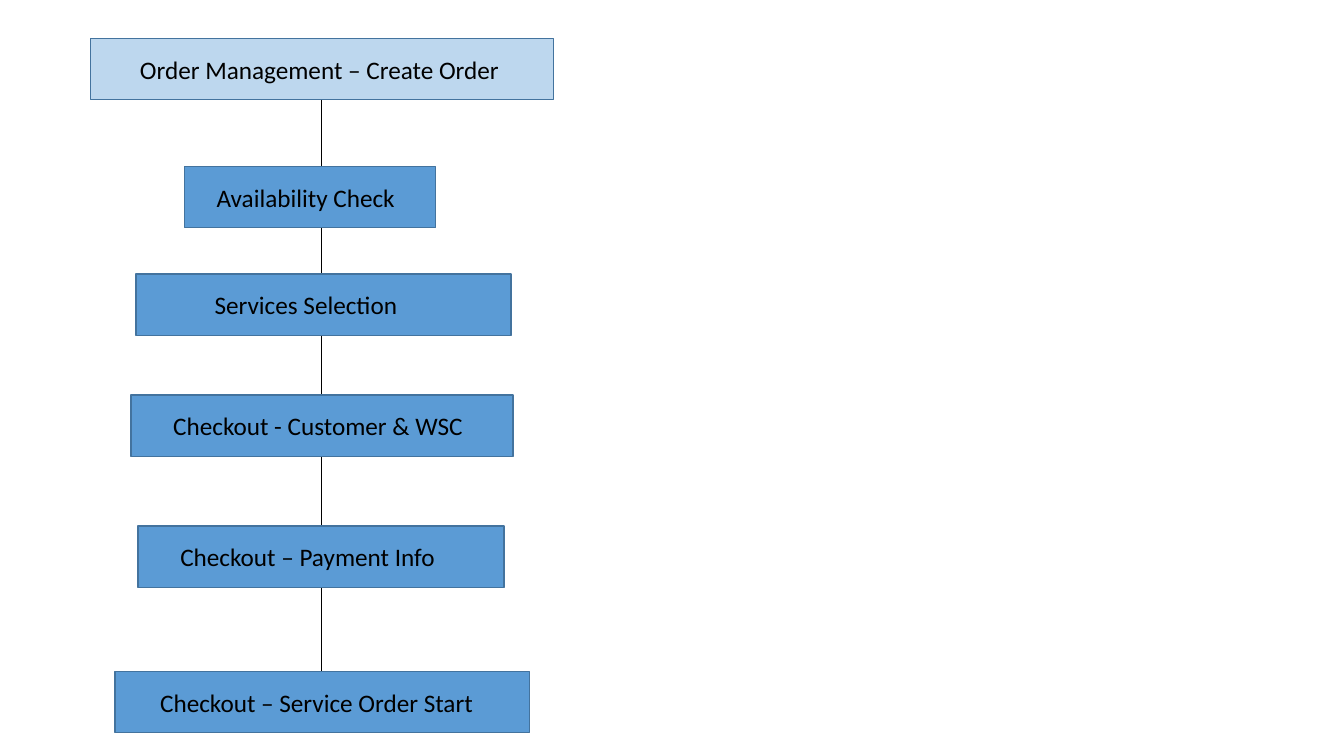
from pptx import Presentation
from pptx.dml.color import RGBColor
from pptx.enum.shapes import MSO_CONNECTOR, MSO_SHAPE
from pptx.enum.text import PP_ALIGN
from pptx.oxml.ns import qn
from pptx.util import Inches, Pt
from lxml.etree import SubElement

LIGHT_BLUE = RGBColor(0xBD, 0xD7, 0xEE)
BLUE = RGBColor(0x5B, 0x9B, 0xD5)
BORDER = RGBColor(0x43, 0x73, 0x9E)
BLACK = RGBColor(0, 0, 0)

# label, fill, step left, step top, step width, label left, label width
STEPS = [
    ("Order Management – Create Order", LIGHT_BLUE, 0.9, 0.38, 4.59, 1.29, 3.8),
    ("Availability Check", BLUE, 1.83, 1.65, 2.49, 2.05, 2.06),
    ("Services Selection", BLUE, 1.35, 2.72, 3.72, 2.03, 2.04),
    ("Checkout - Customer & WSC", BLUE, 1.3, 3.92, 3.79, 1.62, 3.14),
    ("Checkout – Payment Info", BLUE, 1.37, 5.22, 3.63, 1.69, 3),
    ("Checkout – Service Order Start", BLUE, 1.14, 6.66, 4.11, 1.49, 3.4),
]
STEP_HEIGHT = 0.61
LABEL_HEIGHT = 0.4
LABEL_DROP = (STEP_HEIGHT - LABEL_HEIGHT) / 2
FLOW_X = 3.19


def add_flow_line(slide, top, bottom):
    flow = slide.shapes.add_connector(
        MSO_CONNECTOR.STRAIGHT,
        Inches(FLOW_X), Inches(top), Inches(FLOW_X), Inches(bottom))
    flow.line.color.rgb = BLACK
    flow.line.width = Pt(0.5)
    SubElement(flow._element.spPr, qn("a:effectLst"))


def add_step(slide, text, fill, left, top, width, label_left, label_width):
    group = slide.shapes.add_group_shape()
    step = group.shapes.add_shape(
        MSO_SHAPE.RECTANGLE,
        Inches(left), Inches(top), Inches(width), Inches(STEP_HEIGHT))
    step.shadow.inherit = False
    step.fill.solid()
    step.fill.fore_color.rgb = fill
    step.line.color.rgb = BORDER
    step.line.width = Pt(1)

    label = group.shapes.add_textbox(
        Inches(label_left), Inches(top + LABEL_DROP),
        Inches(label_width), Inches(LABEL_HEIGHT))
    label.text_frame.word_wrap = True
    paragraph = label.text_frame.paragraphs[0]
    paragraph.text = text
    paragraph.alignment = PP_ALIGN.LEFT
    paragraph.font.name = "Calibri"
    paragraph.font.size = Pt(18)
    paragraph.font.color.rgb = BLACK


def main():
    deck = Presentation()
    deck.slide_width, deck.slide_height = Inches(13.33), Inches(7.5)
    slide = deck.slides.add_slide(deck.slide_layouts[6])
    tops = [step[3] for step in STEPS]
    add_flow_line(slide, tops[0] + STEP_HEIGHT, tops[-1])
    for step in STEPS:
        add_step(slide, *step)
    deck.save("out.pptx")


if __name__ == "__main__":
    main()
